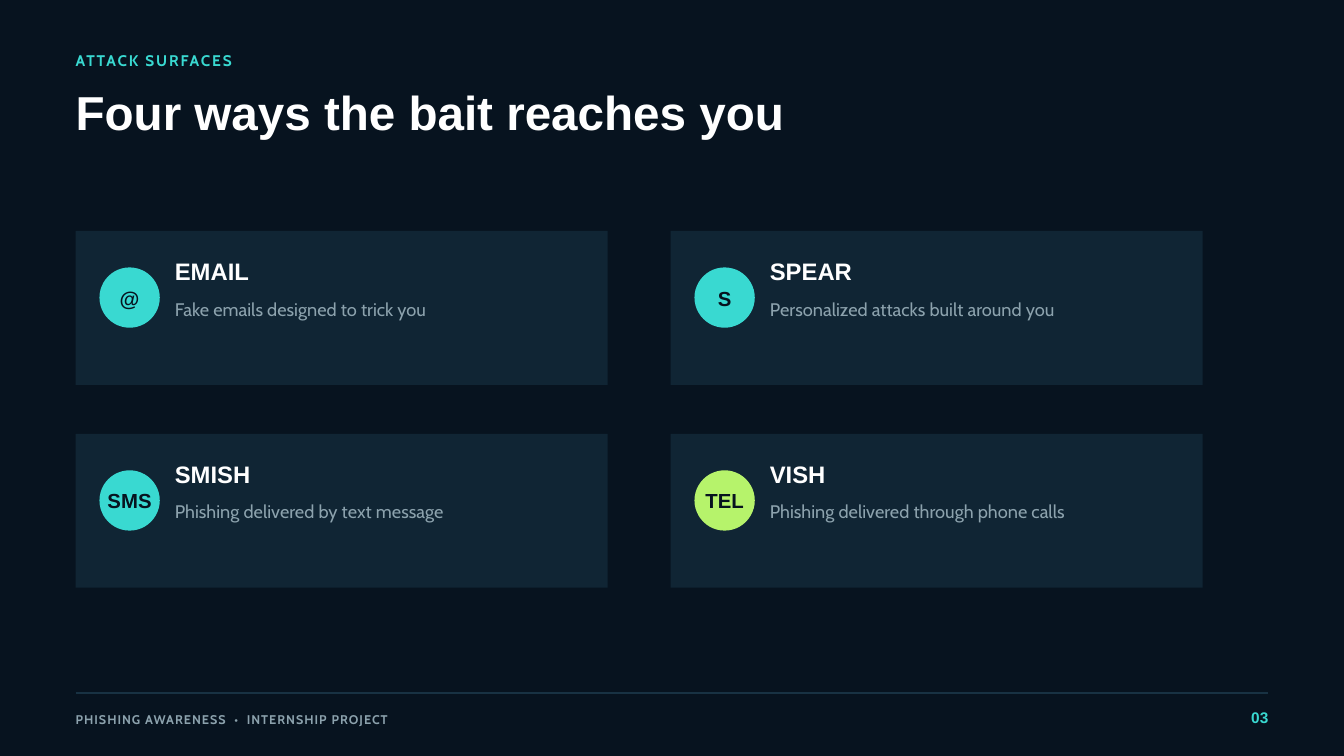
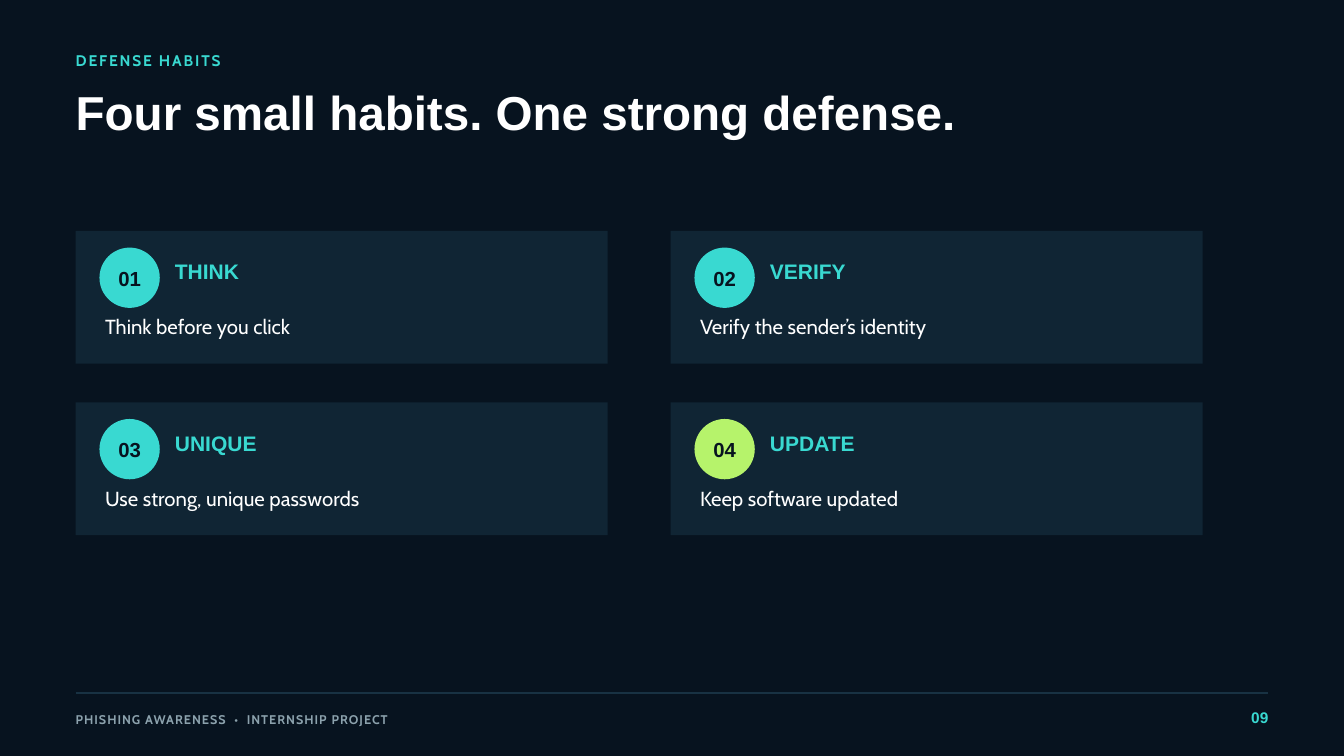
import pptx
import pptx.util
import pptx.dml.color
import pptx.enum.shapes
import pptx.enum.text
import pptx.oxml
import pptx.oxml.ns
from dataclasses import dataclass

Cm = pptx.util.Cm
Pt = pptx.util.Pt
SHAPES = pptx.enum.shapes.MSO_SHAPE
ALIGN = pptx.enum.text.PP_ALIGN
ANCHOR = pptx.enum.text.MSO_ANCHOR

COLORS = {
    "night": "07131F",
    "panel": "102534",
    "rule": "183243",
    "teal": "39D9D1",
    "lime": "B6F36B",
    "white": "FFFFFF",
    "muted": "8CA2AD",
}
HEAD_FONT, BODY_FONT = "Arial", "Cabin"
SLIDE_WIDTH, SLIDE_HEIGHT = 50.8, 28.58
MARGIN = 2.86
CONTENT_WIDTH = SLIDE_WIDTH - 2 * MARGIN
GRID_TOP = 8.73
CARD_WIDTH, COLUMN_PITCH = 20.11, 22.49
BADGE_LEFT, BADGE_SIZE = 0.9, 2.28


@dataclass
class TextStyle:
    size: float
    color: str
    leading: float
    font: str = HEAD_FONT
    bold: bool = True
    align: ALIGN = ALIGN.LEFT
    tracking: float = 0


@dataclass
class CardStyle:
    height: float
    row_pitch: float
    badge_top: float
    heading_box: tuple
    heading: TextStyle
    detail_box: tuple
    detail: TextStyle


EYEBROW = TextStyle(16.5, "teal", 23.1, BODY_FONT, tracking=2)
TITLE = TextStyle(51, "white", 53.5)
BADGE = TextStyle(21.8, "night", 30.4, align=ALIGN.CENTER)
FOOTER = TextStyle(13.5, "muted", 18.9, BODY_FONT, tracking=1.1)
PAGE_NUMBER = TextStyle(16.5, "teal", 23.1, align=ALIGN.RIGHT)

CHANNEL_CARD = CardStyle(
    5.82, 7.67, 1.38,
    (3.75, 0.79, 14.81, 1.17), TextStyle(25.5, "white", 35.7),
    (3.75, 2.46, 14.81, 0.81), TextStyle(19.5, "muted", 25.4, BODY_FONT, False),
)
HABIT_CARD = CardStyle(
    5.02, 6.48, 0.63,
    (3.75, 0.9, 11.13, 1.04), TextStyle(22.5, "teal", 31.5),
    (1.11, 3.01, 16.94, 1.02), TextStyle(21.8, "white", 30.4, BODY_FONT, False),
)


def rgb(name):
    return pptx.dml.color.RGBColor.from_string(COLORS[name])


def write(frame, text, style, anchor=ANCHOR.TOP, wrap=True, bottom=0):
    frame.word_wrap = wrap
    frame.auto_size = pptx.enum.text.MSO_AUTO_SIZE.NONE
    frame.vertical_anchor = anchor
    frame.margin_left = frame.margin_right = frame.margin_top = 0
    frame.margin_bottom = Cm(bottom)
    paragraph = frame.paragraphs[0]
    run = paragraph.add_run()
    run.text = text
    paragraph.alignment = style.align
    paragraph.line_spacing = Pt(style.leading)
    paragraph.font.name = style.font
    paragraph.font.size = Pt(style.size)
    paragraph.font.bold = style.bold
    paragraph.font.color.rgb = rgb(style.color)
    if style.tracking:
        run._r.get_or_add_rPr().set("spc", str(round(style.tracking * 100)))


def add_text(shapes, box, text, style):
    label = shapes.add_textbox(*map(Cm, box))
    write(label.text_frame, text, style)


def add_filled(shapes, preset, box, color):
    shape = shapes.add_shape(preset, *map(Cm, box))
    shape.shadow.inherit = False
    shape.fill.solid()
    shape.fill.fore_color.rgb = rgb(color)
    shape.line.fill.background()
    return shape


def add_header(slide, eyebrow, title, title_width):
    heading = slide.shapes.title
    heading.left, heading.top = Cm(MARGIN), Cm(3.4)
    heading.width, heading.height = Cm(title_width), Cm(1.96)
    write(heading.text_frame, title, TITLE)
    add_text(slide.shapes, (MARGIN, 1.83, 13.77, 0.76), eyebrow, EYEBROW)


def add_card(slide, left, top, style, badge_color, badge, heading, detail):
    def place(box):
        return left + box[0], top + box[1], box[2], box[3]

    card = slide.shapes.add_group_shape().shapes
    add_filled(card, SHAPES.RECTANGLE, (left, top, CARD_WIDTH, style.height), "panel")
    circle = add_filled(
        card, SHAPES.OVAL,
        place((BADGE_LEFT, style.badge_top, BADGE_SIZE, BADGE_SIZE)), badge_color)
    write(circle.text_frame, badge, BADGE, ANCHOR.MIDDLE, wrap=False, bottom=0.12)
    add_text(card, place(style.heading_box), heading, style.heading)
    add_text(card, place(style.detail_box), detail, style.detail)


def add_card_grid(slide, left, top, style, cards):
    for index, content in enumerate(cards):
        row, column = divmod(index, 2)
        badge_color = "lime" if index == len(cards) - 1 else "teal"
        add_card(slide, left + column * COLUMN_PITCH, top + row * style.row_pitch,
                 style, badge_color, *content)


def add_footer(slide, left, top, width, number):
    footer = slide.shapes.add_group_shape().shapes
    rule = footer.add_connector(
        pptx.enum.shapes.MSO_CONNECTOR.STRAIGHT,
        Cm(left), Cm(top), Cm(left + width), Cm(top))
    rule.line.color.rgb = rgb("rule")
    rule.line.width = Pt(2)
    rule._element.spPr.append(pptx.oxml.parse_xml(
        f"<a:effectLst {pptx.oxml.ns.nsdecls('a')}/>"))
    add_text(footer, (left, top + 0.61, 20.11, 0.61),
             "PHISHING AWARENESS  •  INTERNSHIP PROJECT", FOOTER)
    add_text(footer, (left + width - 1.91, top + 0.43, 1.91, 0.76), number, PAGE_NUMBER)


def add_card_slide(deck, number, eyebrow, title, title_width, style, cards):
    slide = deck.slides.add_slide(deck.slide_layouts[5])
    slide.background.fill.solid()
    slide.background.fill.fore_color.rgb = rgb("night")
    add_header(slide, eyebrow, title, title_width)
    add_card_grid(slide, MARGIN, GRID_TOP, style, cards)
    add_footer(slide, MARGIN, 26.21, CONTENT_WIDTH, number)


def main():
    deck = pptx.Presentation()
    deck.slide_width, deck.slide_height = Cm(SLIDE_WIDTH), Cm(SLIDE_HEIGHT)
    add_card_slide(
        deck, "03", "ATTACK SURFACES", "Four ways the bait reaches you", 33.07,
        CHANNEL_CARD, [
            ("@", "EMAIL", "Fake emails designed to trick you"),
            ("S", "SPEAR", "Personalized attacks built around you"),
            ("SMS", "SMISH", "Phishing delivered by text message"),
            ("TEL", "VISH", "Phishing delivered through phone calls"),
        ])
    add_card_slide(
        deck, "09", "DEFENSE HABITS", "Four small habits. One strong defense.", 37.57,
        HABIT_CARD, [
            ("01", "THINK", "Think before you click"),
            ("02", "VERIFY", "Verify the sender’s identity"),
            ("03", "UNIQUE", "Use strong, unique passwords"),
            ("04", "UPDATE", "Keep software updated"),
        ])
    deck.save("out.pptx")


if __name__ == "__main__":
    main()
